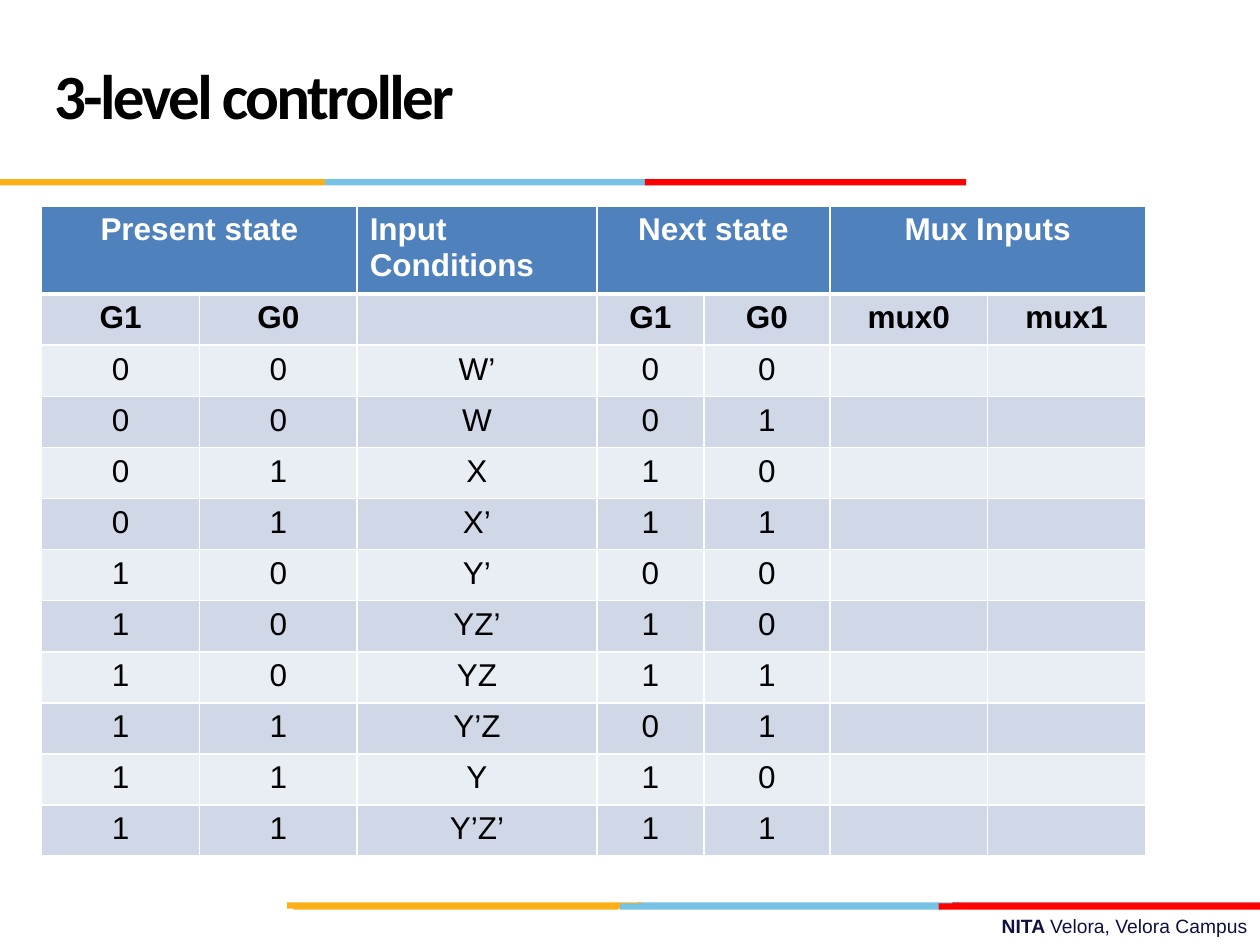
from dataclasses import dataclass

from lxml.etree import SubElement
from pptx import Presentation
from pptx.dml.color import RGBColor
from pptx.enum.shapes import MSO_SHAPE
from pptx.enum.text import MSO_ANCHOR, PP_ALIGN
from pptx.oxml.ns import qn
from pptx.slide import Slide
from pptx.table import Table, _Cell
from pptx.util import Cm, Pt

COLORS = {
    "yellow": "FCB017",
    "blue": "76C2E5",
    "crimson": "E31C24",
    "red": "FF0000",
    "navy": "101141",
    "header": "4F81BD",
    "dark band": "D0D8E8",
    "light band": "E9EDF4",
    "white": "FFFFFF",
    "black": "000000",
}
BAR_HEIGHT = 0.13


@dataclass
class Bar:
    left: float
    width: float
    color: str


@dataclass
class Stripe:
    top: float
    bars: list[Bar]


STRIPES = [
    # Footer stripe, lower layer
    Stripe(18.19, [Bar(12.85, 6.48, "blue"), Bar(19.2, 6.2, "crimson"),
                   Bar(5.79, 7.16, "yellow")]),
    # Footer stripe, upper layer
    Stripe(18.21, [Bar(12.5, 6.48, "blue"), Bar(5.92, 6.55, "yellow"),
                   Bar(18.92, 6.48, "red")]),
    # Stripe under the title
    Stripe(3.61, [Bar(6.55, 6.48, "blue"), Bar(0, 6.55, "yellow"),
                  Bar(13, 6.48, "red")]),
]

COLUMN_WIDTHS = [3.18, 3.18, 4.83, 2.16, 2.54, 3.18, 3.18]
HEADER_HEIGHT, ROW_HEIGHT = 1.65, 1.03
HEADINGS = ["Present state", "", "Input Conditions", "Next state", "", "Mux Inputs", ""]
MERGED_STARTS = [0, 3, 5]
SIGNALS = ["G1", "G0", "", "G1", "G0", "mux0", "mux1"]
# Present state, input condition, next state
TRANSITIONS = [
    ("00", "W’", "00"),
    ("00", "W", "01"),
    ("01", "X", "10"),
    ("01", "X’", "11"),
    ("10", "Y’", "00"),
    ("10", "YZ’", "10"),
    ("10", "YZ", "11"),
    ("11", "Y’Z", "01"),
    ("11", "Y", "10"),
    ("11", "Y’Z’", "11"),
]


def rgb(name: str) -> RGBColor:
    return RGBColor.from_string(COLORS[name])


def draw_stripe(slide: Slide, stripe: Stripe) -> None:
    group = slide.shapes.add_group_shape()
    for bar in stripe.bars:
        segment = group.shapes.add_shape(
            MSO_SHAPE.RECTANGLE, Cm(bar.left), Cm(stripe.top), Cm(bar.width), Cm(BAR_HEIGHT))
        segment.shadow.inherit = False
        segment.fill.solid()
        segment.fill.fore_color.rgb = rgb(bar.color)
        segment.line.fill.background()


def draw_campus(slide: Slide) -> None:
    frame = slide.shapes.add_textbox(Cm(9.09), Cm(18.31), Cm(16.31), Cm(0.74)).text_frame
    frame.word_wrap = True
    campus = frame.paragraphs[0]
    campus.alignment = PP_ALIGN.RIGHT
    campus.font.size = Pt(11)
    campus.font.name = "Arial"
    campus.font.color.rgb = rgb("navy")
    for words, bold in [("NITA ", True), ("Velora, Velora Campus", False)]:
        part = campus.add_run()
        part.text = words
        part.font.bold = bold


def draw_title(slide: Slide) -> None:
    frame = slide.shapes.add_textbox(Cm(0.84), Cm(0.43), Cm(17.58), Cm(3.18)).text_frame
    frame.word_wrap = True
    frame.vertical_anchor = MSO_ANCHOR.MIDDLE
    title = frame.paragraphs[0]
    title.line_spacing = Pt(36)
    title.font.size = Pt(36)
    title.font.name = "Calibri"
    title.font.bold = True
    title.font.color.rgb = rgb("black")
    words = title.add_run()
    words.text = "3-level controller"
    words._r.get_or_add_rPr().set("spc", "-150")


def set_borders(cell: _Cell, top: float, bottom: float) -> None:
    properties = cell._tc.get_or_add_tcPr()
    sides = [("a:lnL", 1), ("a:lnR", 1), ("a:lnT", top), ("a:lnB", bottom)]
    for position, (tag, points) in enumerate(sides):
        border = SubElement(properties, qn(tag), w=str(Pt(points)))
        fill = SubElement(border, qn("a:solidFill"))
        SubElement(fill, qn("a:srgbClr"), val=COLORS["white"])
        properties.insert(position, border)  # borders come before the fill


def fill_cell(table: Table, row: int, column: int, words: str) -> None:
    cell = table.cell(row, column)
    cell.fill.solid()
    band = "header" if row == 0 else "dark band" if row % 2 else "light band"
    cell.fill.fore_color.rgb = rgb(band)
    set_borders(cell, top=3 if row == 1 else 1, bottom=3 if row == 0 else 1)
    entry = cell.text_frame.paragraphs[0]
    entry.text = words
    if (row, column) != (0, 2):
        entry.alignment = PP_ALIGN.CENTER
    entry.font.size = Pt(18)
    entry.font.name = "Arial"
    entry.font.bold = row < 2
    entry.font.color.rgb = rgb("white" if row == 0 else "black")


def draw_state_table(slide: Slide) -> None:
    rows = [HEADINGS, SIGNALS]
    rows += [[*present, condition, *following, "", ""]
             for present, condition, following in TRANSITIONS]
    heights = [HEADER_HEIGHT] + [ROW_HEIGHT] * (len(rows) - 1)
    table = slide.shapes.add_table(
        len(rows), len(COLUMN_WIDTHS), Cm(0.84), Cm(4.15),
        Cm(sum(COLUMN_WIDTHS)), Cm(sum(heights))).table
    table.horz_banding = False
    for column, width in zip(table.columns, COLUMN_WIDTHS):
        column.width = Cm(width)
    for row, height in zip(table.rows, heights):
        row.height = Cm(height)
    for row, entries in enumerate(rows):
        for column, words in enumerate(entries):
            fill_cell(table, row, column, words)
    for start in MERGED_STARTS:
        table.cell(0, start).merge(table.cell(0, start + 1))


def main() -> None:
    presentation = Presentation()
    presentation.slide_width = Cm(25.4)
    presentation.slide_height = Cm(19.05)
    slide = presentation.slides.add_slide(presentation.slide_layouts[6])
    draw_campus(slide)
    for stripe in STRIPES:
        draw_stripe(slide, stripe)
    draw_title(slide)
    draw_state_table(slide)
    presentation.save("out.pptx")


if __name__ == "__main__":
    main()
